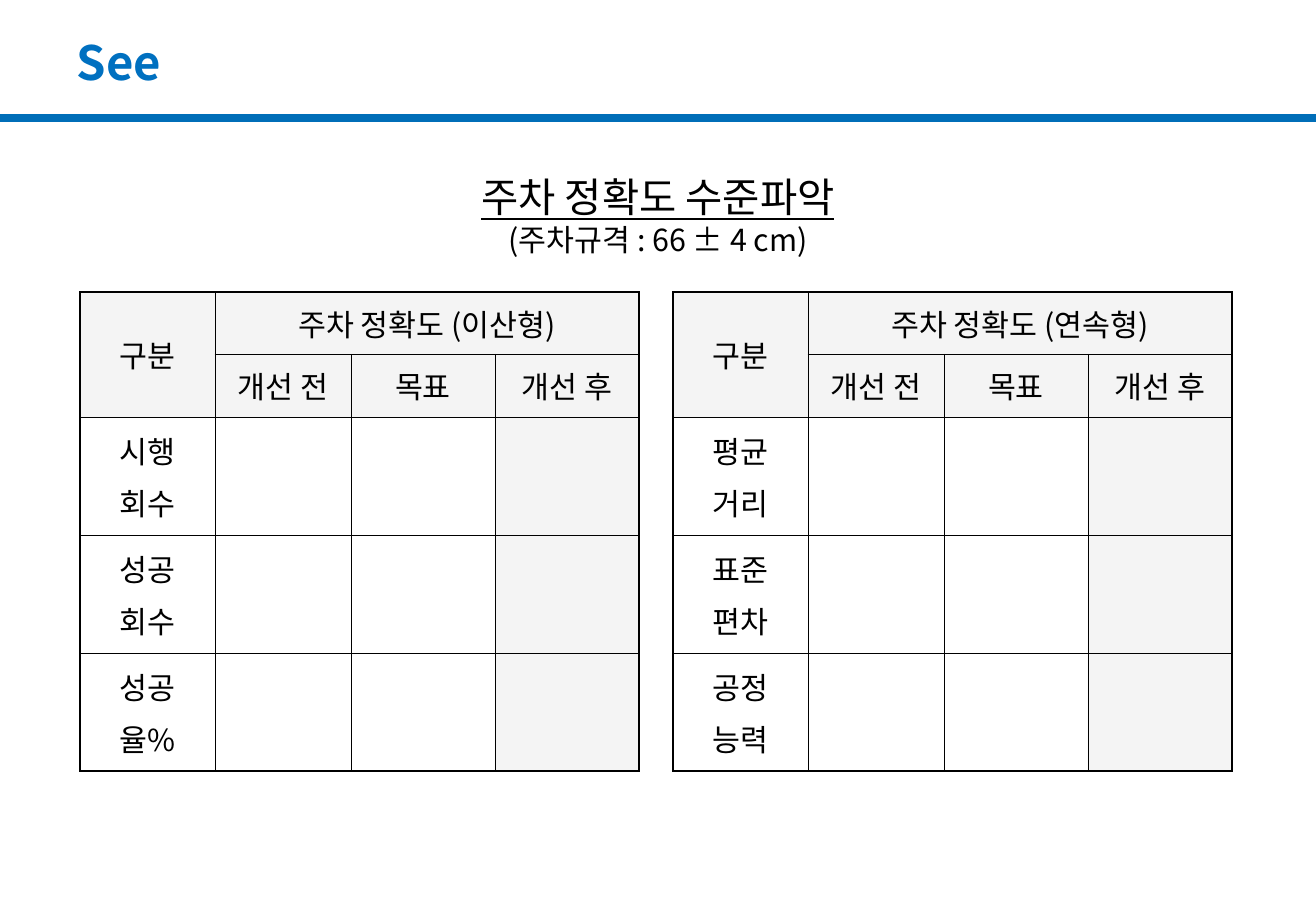
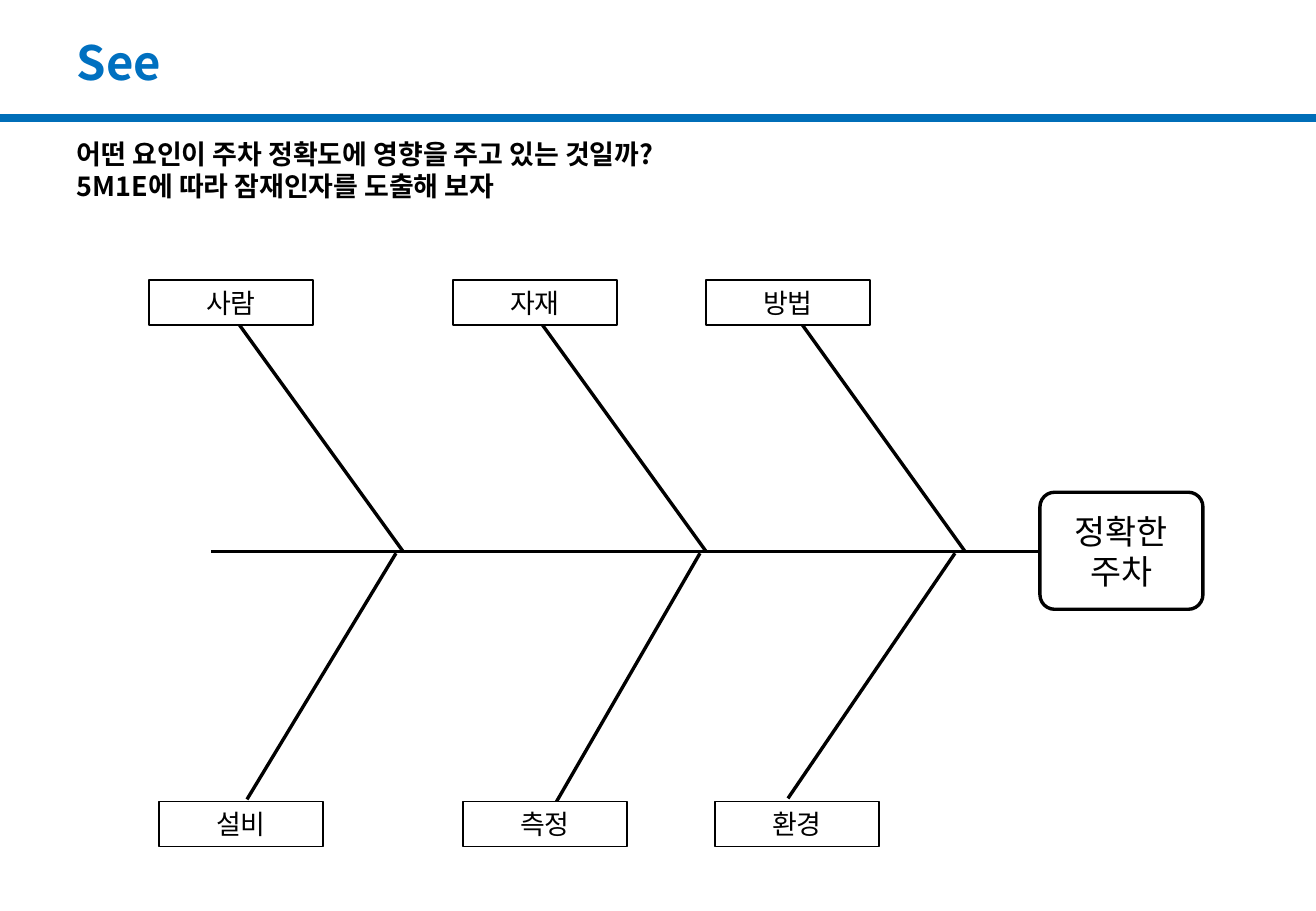
from lxml import etree
from pptx import Presentation
from pptx.dml.color import RGBColor
from pptx.enum import shapes, text
from pptx.oxml import ns
from pptx.util import Inches, Pt

PX = 7532  # EMU in one px
FONT = "Noto Sans CJK KR"
BLACK, WHITE, BLUE, BAND_BLUE, GREY = "000000", "FFFFFF", "0070C0", "006EB8", "EAEAEA"
rgb = RGBColor.from_string


def write(frame, content, size=16, color=BLACK, bold=False, underline=False,
          align="LEFT", anchor="TOP", before=0):
    """Append one paragraph per line of content to a text frame."""
    frame.word_wrap = True
    frame.vertical_anchor = getattr(text.MSO_ANCHOR, anchor)
    frame.margin_left = frame.margin_right = frame.margin_top = frame.margin_bottom = 0
    for line in content.split("\n"):
        paragraph = frame.add_paragraph() if frame.text else frame.paragraphs[0]
        paragraph.alignment = getattr(text.PP_ALIGN, align)
        paragraph.space_before = Pt(before)
        run = paragraph.add_run()
        run.text = line
        font = run.font
        font.name, font.size, font.bold, font.underline = FONT, Pt(size), bold, underline
        font.color.rgb = rgb(color)
        etree.SubElement(run._r.get_or_add_rPr(), ns.qn("a:ea"), typeface=FONT)


def draw_line(slide, start, end, width=2, color=BLACK):
    ends = [n * PX for n in (*start, *end)]
    line = slide.shapes.add_connector(shapes.MSO_CONNECTOR.STRAIGHT, *ends)
    line.line.width = Pt(width)
    line.line.color.rgb = rgb(color)
    etree.SubElement(line._element.spPr, ns.qn("a:effectLst"))


presentation = Presentation()
presentation.slide_width = 1316 * PX
presentation.slide_height = Inches(7.5)

# Shared title and band
for _ in range(2):
    slide = presentation.slides.add_slide(presentation.slide_layouts[6])
    draw_line(slide, (-1, 118), (1317, 118), 4.5, BAND_BLUE)
    title = slide.shapes.add_textbox(77 * PX, 33 * PX, 960 * PX, 60 * PX)
    write(title.text_frame, "See", size=28, color=BLUE, bold=True)
accuracy_slide, fishbone_slide = presentation.slides

# Parking accuracy tables
heading = accuracy_slide.shapes.add_textbox(458 * PX, 172 * PX, 400 * PX, 90 * PX)
write(heading.text_frame, "주차 정확도 수준파악", size=24, underline=True, align="CENTER")
write(heading.text_frame, "(주차규격 : 66 ± 4 cm)", size=18, align="CENTER")

COLUMNS = [135, 136, 144, 144]
ROWS = [62, 63, 118, 118, 118]
LAST_ROW, LAST_COLUMN = len(ROWS) - 1, len(COLUMNS) - 1
for left, kind, measures in [
    (80, "이산형", ["시행\n회수", "성공\n회수", "성공\n율%"]),
    (673, "연속형", ["평균\n거리", "표준\n편차", "공정\n능력"]),
]:
    frame = accuracy_slide.shapes.add_table(
        len(ROWS), len(COLUMNS), left * PX, 292 * PX, sum(COLUMNS) * PX, sum(ROWS) * PX)
    table = frame.table
    for column, width in zip(table.columns, COLUMNS):
        column.width = width * PX
    for row, height in zip(table.rows, ROWS):
        row.height = height * PX
    table.cell(0, 0).merge(table.cell(1, 0))
    table.cell(0, 1).merge(table.cell(0, LAST_COLUMN))

    texts = {(0, 0): "구분", (0, 1): f"주차 정확도 ({kind})"}
    texts |= {(1, c): label for c, label in enumerate(["개선 전", "목표", "개선 후"], 1)}
    texts |= {(r, 0): label for r, label in enumerate(measures, 2)}

    for r in range(len(ROWS)):
        for c in range(len(COLUMNS)):
            cell = table.cell(r, c)
            if (r, c) in texts:
                write(cell.text_frame, texts[r, c], size=18, align="CENTER", before=4.5)
            cell.vertical_anchor = text.MSO_ANCHOR.MIDDLE
            cell.margin_left = cell.margin_right = 12 * PX
            cell.margin_top = cell.margin_bottom = 6 * PX
            properties = cell._tc.get_or_add_tcPr()
            if r < 2 or c == LAST_COLUMN:
                cell.fill.solid()
                cell.fill.fore_color.rgb = rgb(GREY)
                tint = properties.find(".//" + ns.qn("a:srgbClr"))
                etree.SubElement(tint, ns.qn("a:alpha"), val="50000")
            else:
                cell.fill.background()
            right_edge = c == LAST_COLUMN or (r, c) == (0, 1)
            outer_edges = {"L": c == 0, "R": right_edge, "T": r == 0, "B": r == LAST_ROW}
            for position, (side, outer) in enumerate(outer_edges.items()):
                border = etree.Element(ns.qn("a:ln" + side), w=str(Pt(1.08 if outer else 0.45)))
                fill = etree.SubElement(border, ns.qn("a:solidFill"))
                etree.SubElement(fill, ns.qn("a:srgbClr"), val=BLACK)
                properties.insert(position, border)

# Fishbone diagram
question = fishbone_slide.shapes.add_textbox(77 * PX, 137 * PX, 1160 * PX, 70 * PX)
write(question.text_frame,
      "어떤 요인이 주차 정확도에 영향을 주고 있는 것일까?\n5M1E에 따라 잠재인자를 도출해 보자",
      bold=True)

draw_line(fishbone_slide, (211, 551), (1040, 551))
for start, end in [
    ((236, 320), (403, 551)), ((539, 320), (706, 551)), ((799, 320), (965, 551)),
    ((396, 553), (247, 799)), ((700, 553), (552, 809)), ((955, 553), (788, 798)),
]:
    draw_line(fishbone_slide, start, end)

UPPER, LOWER = 280, 801
causes = [("사람", 149, UPPER), ("자재", 453, UPPER), ("방법", 706, UPPER),
          ("설비", 159, LOWER), ("측정", 463, LOWER), ("환경", 715, LOWER)]
boxes = [(label, "RECTANGLE", (left, top, 164, 45), 16, 0.75) for label, left, top in causes]
boxes.append(("정확한\n주차", "ROUNDED_RECTANGLE", (1040, 492, 163, 117), 20, 2))
for label, preset, place, size, border_width in boxes:
    box = fishbone_slide.shapes.add_shape(
        getattr(shapes.MSO_SHAPE, preset), *[n * PX for n in place])
    if preset == "ROUNDED_RECTANGLE":
        box.adjustments[0] = 0.125
    box.shadow.inherit = False
    box.fill.solid()
    box.fill.fore_color.rgb = rgb(WHITE)
    box.line.color.rgb = rgb(BLACK)
    box.line.width = Pt(border_width)
    write(box.text_frame, label, size=size, align="CENTER", anchor="MIDDLE")

presentation.save("out.pptx")
